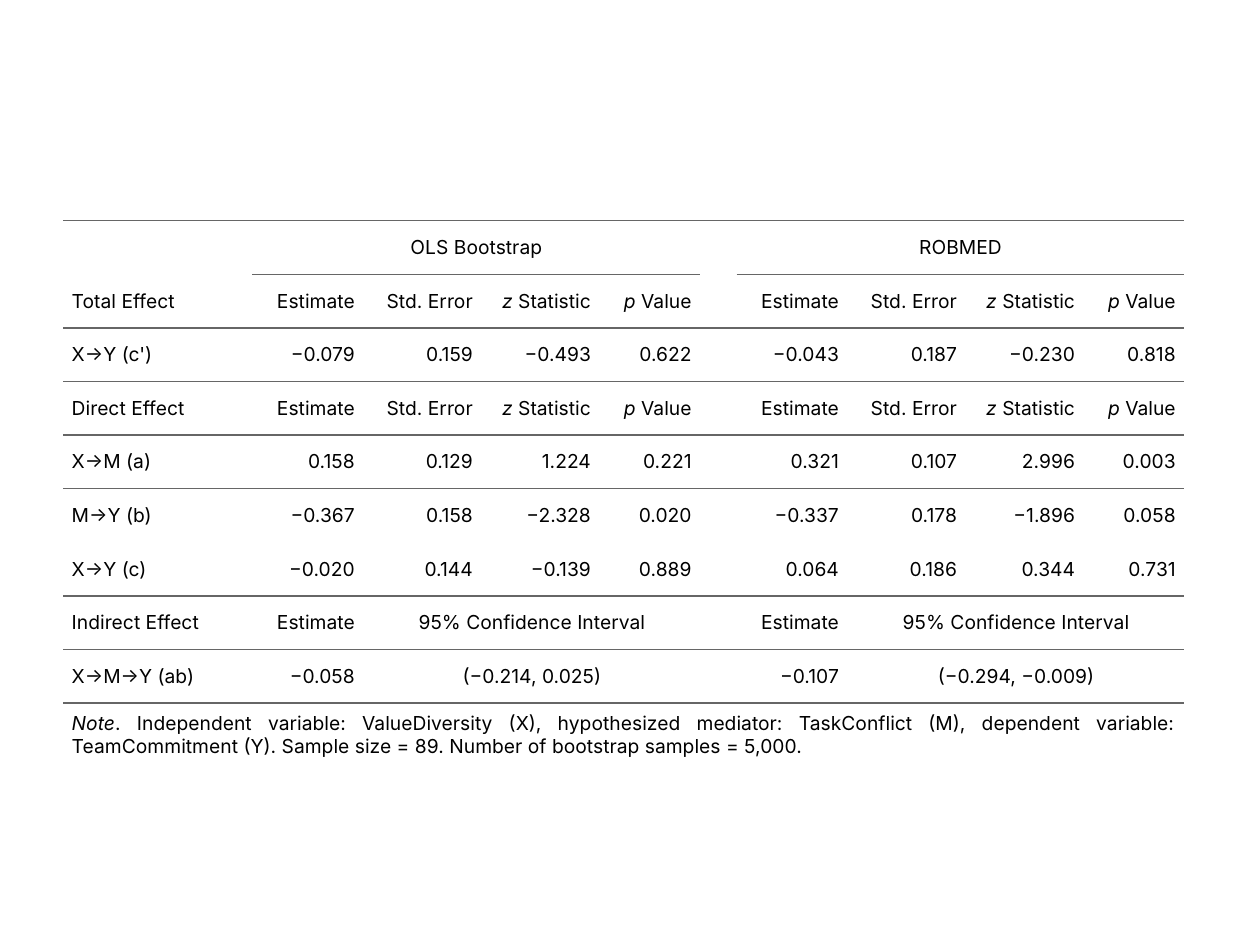
from dataclasses import dataclass
from typing import Any

from lxml.etree import SubElement
from pptx import Presentation
from pptx.dml.color import RGBColor
from pptx.enum.text import MSO_ANCHOR, PP_ALIGN
from pptx.oxml.ns import qn
from pptx.util import Cm, Pt


@dataclass(frozen=True)
class Theme:
    font: str = "Inter"
    size: float = 11
    ink: str = "000000"
    line: str = "666666"
    rule: float = 1
    pad: float = 5


@dataclass(frozen=True)
class Row:
    label: str
    ols: tuple[str, ...]
    rob: tuple[str, ...]
    edges: str = "TB"
    gaps: str = "TB"  # edges in the label and spacer columns


THEME = Theme()
PAD = Pt(THEME.pad)
PLAIN = "{2D5ABB26-0587-4C30-8999-92F81FD0307C}"  # no style, no grid
LEFT, RIGHT = PP_ALIGN.LEFT, PP_ALIGN.RIGHT
MID, FULL = PP_ALIGN.CENTER, PP_ALIGN.JUSTIFY

# Asterisks enclose italic text
HEADS = ("Estimate", "Std. Error", "*z *Statistic", "*p *Value")
RANGE = ("Estimate", "95% Confidence Interval")
ROWS = (
    Row("", ("OLS Bootstrap",), ("ROBMED",), gaps="T"),
    Row("Total Effect", HEADS, HEADS, gaps="B"),
    Row("X→Y (c')", ("−0.079", "0.159", "−0.493", "0.622"),
        ("−0.043", "0.187", "−0.230", "0.818")),
    Row("Direct Effect", HEADS, HEADS),
    Row("X→M (a)", ("0.158", "0.129", "1.224", "0.221"),
        ("0.321", "0.107", "2.996", "0.003"), "T", "T"),
    Row("M→Y (b)", ("−0.367", "0.158", "−2.328", "0.020"),
        ("−0.337", "0.178", "−1.896", "0.058"), "", ""),
    Row("X→Y (c)", ("−0.020", "0.144", "−0.139", "0.889"),
        ("0.064", "0.186", "0.344", "0.731"), "B", "B"),
    Row("Indirect Effect", RANGE, RANGE),
    Row("X→M→Y (ab)", ("−0.058", "(−0.214, 0.025)"),
        ("−0.107", "(−0.294, −0.009)")),
)
NOTE = ("*Note*. Independent variable: ValueDiversity (X), hypothesized "
        "mediator: TaskConflict (M), dependent variable: TeamCommitment (Y). "
        "Sample size = 89. Number of bootstrap samples = 5,000.")

GROUP = (2.24, 2.38, 2.38, 2.03)
GAP = 0.73
WIDTHS = (3.09, GAP, *GROUP, GAP, *GROUP)
STARTS = (2, 7)
HIGHS = (*[1.08] * len(ROWS), 0.63)


def put(item: Any, form: dict[str, Any]) -> None:
    for name, value in form.items():
        setattr(item, name, value)


def write(cell: Any, text: str, align: Any) -> None:
    put(cell, {"margin_left": 0, "margin_right": 0, "margin_top": PAD,
               "margin_bottom": PAD, "vertical_anchor": MSO_ANCHOR.MIDDLE})
    para = cell.text_frame.paragraphs[0]
    put(para, {"alignment": align, "space_before": PAD, "space_after": PAD})
    props = para._p.get_or_add_pPr()
    for side in ("marL", "marR"):
        props.set(side, str(PAD))
    for index, part in enumerate(text.split("*")):
        if part:
            run = para.add_run()
            run.text = part
            put(run.font, {"name": THEME.font, "size": Pt(THEME.size),
                           "italic": index % 2 == 1})
            run.font.color.rgb = RGBColor.from_string(THEME.ink)


def border(cell: Any, edges: str) -> None:
    props = cell._tc.get_or_add_tcPr()
    for index, edge in enumerate(edges):
        line = SubElement(props, qn(f"a:ln{edge}"), w=str(Pt(THEME.rule)))
        fill = SubElement(line, qn("a:solidFill"))
        SubElement(fill, qn("a:srgbClr"), val=THEME.line)
        props.insert(index, line)


def group(grid: Any, row: int, start: int, texts: tuple[str, ...]) -> None:
    """Fill four columns; a short row stretches its last text."""
    end = start + len(GROUP) - 1
    short = len(texts) < len(GROUP)
    for col, text in enumerate(texts, start):
        cell = grid.cell(row, col)
        wide = short and col == start + len(texts) - 1
        if wide:
            cell.merge(grid.cell(row, end))
        write(cell, text, MID if wide else RIGHT)


# Slide
deck = Presentation()
put(deck, {"slide_width": Cm(25.4), "slide_height": Cm(19.05)})
slide = deck.slides.add_slide(deck.slide_layouts[6])

# Table frame
frame = slide.shapes.add_table(len(HIGHS), len(WIDTHS), Cm(1.27), Cm(4.45),
                               Cm(sum(WIDTHS)), Cm(sum(HIGHS)))
grid = frame.table
put(grid, {"first_row": False, "horz_banding": False})
grid._tbl.tblPr.find(qn("a:tableStyleId")).text = PLAIN
for col, width in zip(grid.columns, WIDTHS):
    col.width = Cm(width)
for row, high in zip(grid.rows, HIGHS):
    row.height = Cm(high)
for cell in grid.iter_cells():
    cell.fill.background()

# Effects
for index, row in enumerate(ROWS):
    if row.label:
        write(grid.cell(index, 0), row.label, LEFT)
    for start, texts in zip(STARTS, (row.ols, row.rob)):
        group(grid, index, start, texts)
    for col in range(len(WIDTHS)):
        inner = any(s <= col < s + len(GROUP) for s in STARTS)
        border(grid.cell(index, col), row.edges if inner else row.gaps)

# Note
last = len(ROWS)
foot = grid.cell(last, 0)
foot.merge(grid.cell(last, len(WIDTHS) - 1))
write(foot, NOTE, FULL)

deck.save("out.pptx")
